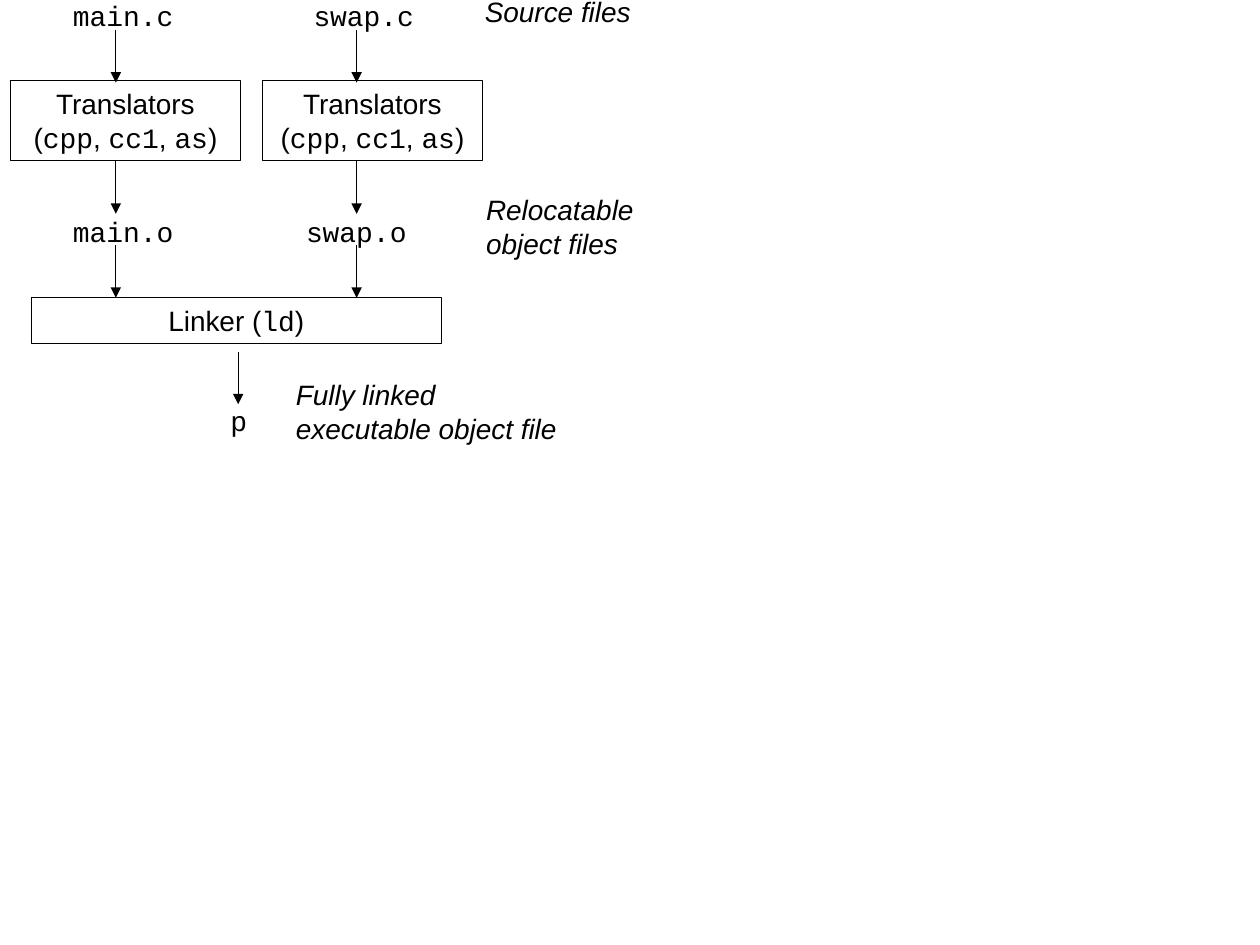
"""Build a slide showing how two C source files are compiled and linked."""
from lxml.etree import SubElement
from pptx import Presentation
from pptx.dml.color import RGBColor
from pptx.enum.shapes import MSO_CONNECTOR, MSO_SHAPE
from pptx.enum.text import MSO_ANCHOR, MSO_AUTO_SIZE, PP_ALIGN
from pptx.oxml.ns import qn
from pptx.util import Pt

BLACK = "000000"
FONT_SIZE = 16
LINE_WIDTH = 0.5
ARROW_LENGTH = 30
MAIN_X, SWAP_X, PROGRAM_X = 66.2, 203.8, 136.1

TRANSLATORS = "Translators\n(`cpp`, `cc1`, `as`)"
BOXES = [
    (TRANSLATORS, 5.8, 46.1, 131.8, 45.4),
    (TRANSLATORS, 149.8, 46.1, 126, 45.4),
    ("Linker (`ld`)", 18, 169.9, 234, 26.2),
]
FILES = [
    ("`main.c`", 34.6, -4.3, 72, 26.6),
    ("`swap.c`", 172.1, -4.3, 72, 26.6),
    ("`main.o`", 34.6, 118.8, 72, 26.6),
    ("`swap.o`", 167.8, 118.8, 72, 26.6),
    ("`p`", 124.6, 226.8, 23.8, 26.6),
]
CAPTIONS = [
    ("Source files", 270, -6.5, 97.9, 26.6),
    ("Relocatable\nobject files", 270.7, 106.6, 98.6, 46.1),
    ("Fully linked\nexecutable object file", 162, 212.4, 163.4, 46.1),
]
ARROW_STARTS = [(x, y) for y in (17.2, 92.2, 140.2) for x in (MAIN_X, SWAP_X)]
ARROW_STARTS.append((PROGRAM_X, 201))


def color(value):
    return RGBColor.from_string(value)


def write_text(shape, text, alignment, italic=False):
    """Fill a shape with text, setting parts in backticks in the code font."""
    frame = shape.text_frame
    frame.auto_size = MSO_AUTO_SIZE.SHAPE_TO_FIT_TEXT
    frame.vertical_anchor = MSO_ANCHOR.TOP
    for line_index, line in enumerate(text.split("\n")):
        paragraph = frame.add_paragraph() if line_index else frame.paragraphs[0]
        paragraph.alignment = alignment
        for part_index, part in enumerate(line.split("`")):
            if not part:
                continue
            run = paragraph.add_run()
            run.text = part
            run.font.name = "Courier New" if part_index % 2 else "Arial"
            run.font.size = Pt(FONT_SIZE)
            run.font.italic = italic
            run.font.color.rgb = color(BLACK)


def add_box(slide, text, *bounds):
    """Add an outlined box with centred text."""
    shape = slide.shapes.add_shape(MSO_SHAPE.RECTANGLE, *map(Pt, bounds))
    shape.shadow.inherit = False
    shape.fill.background()
    shape.line.color.rgb = color(BLACK)
    shape.line.width = Pt(LINE_WIDTH)
    shape.text_frame.word_wrap = True
    write_text(shape, text, PP_ALIGN.CENTER)


def add_label(slide, text, *bounds, italic=False):
    """Add a text label that does not wrap."""
    shape = slide.shapes.add_textbox(*map(Pt, bounds))
    shape.text_frame.word_wrap = False
    write_text(shape, text, PP_ALIGN.LEFT, italic)


def add_arrow(slide, x, y):
    """Add an arrow pointing straight down."""
    arrow = slide.shapes.add_connector(
        MSO_CONNECTOR.STRAIGHT, Pt(x), Pt(y), Pt(x), Pt(y + ARROW_LENGTH))
    arrow.line.color.rgb = color(BLACK)
    arrow.line.width = Pt(LINE_WIDTH)
    SubElement(arrow.line._get_or_add_ln(), qn("a:tailEnd"), type="triangle")
    SubElement(arrow._element.spPr, qn("a:effectLst"))


def main():
    """Draw the compilation diagram and save it."""
    presentation = Presentation()
    presentation.slide_width, presentation.slide_height = Pt(720), Pt(540)
    slide = presentation.slides.add_slide(presentation.slide_layouts[6])
    for box in BOXES:
        add_box(slide, *box)
    for label in FILES:
        add_label(slide, *label)
    for start in ARROW_STARTS:
        add_arrow(slide, *start)
    for caption in CAPTIONS:
        add_label(slide, *caption, italic=True)
    presentation.save("out.pptx")


if __name__ == "__main__":
    main()
